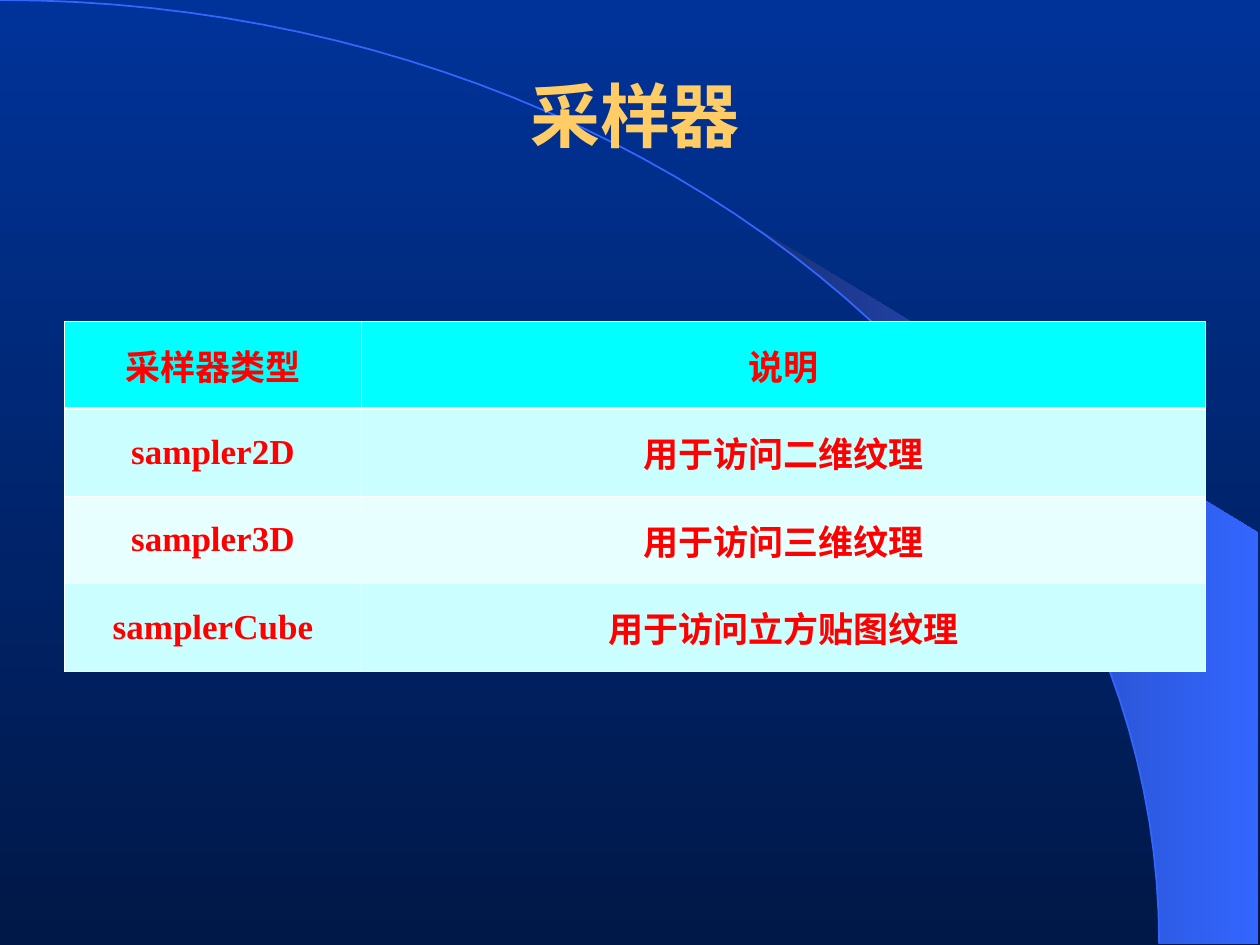
from math import asin, cos, pi, sin

from lxml import etree
from pptx import Presentation
from pptx.dml.color import RGBColor
from pptx.enum.text import MSO_ANCHOR, PP_ALIGN
from pptx.oxml.ns import qn
from pptx.util import Pt

FONT = "Times New Roman"
ARC_WIDTH, ARC_HEIGHT = 662.4, 539.28
ARC_STEPS = 48
UNITS_PER_POINT = 100


def color(hex_string):
    return RGBColor.from_string(hex_string)


def arc_points(start, end):
    angles = [start + (end - start) * step / ARC_STEPS for step in range(ARC_STEPS + 1)]
    return [
        (ARC_WIDTH * sin(angle) * UNITS_PER_POINT, ARC_HEIGHT * (1 - cos(angle)) * UNITS_PER_POINT)
        for angle in angles
    ]


presentation = Presentation()
presentation.slide_width, presentation.slide_height = Pt(720), Pt(540)
slide = presentation.slides.add_slide(presentation.slide_layouts[5])

background = slide.background.fill
background.gradient()
background.gradient_angle = 270
for stop, shade in zip(background.gradient_stops, ("003399", "001847")):
    stop.color.rgb = color(shade)

beam_points = arc_points(asin(424.08 / ARC_WIDTH), pi / 2)
beam_points += [(x * UNITS_PER_POINT, y * UNITS_PER_POINT) for x, y in ((719.28, 539.28), (719.28, 304.56))]
builder = slide.shapes.build_freeform(*beam_points[0], scale=Pt(1) / UNITS_PER_POINT)
builder.add_line_segments(beam_points[1:], close=True)
beam = builder.convert_to_shape()
beam.shadow.inherit = False
beam.line.fill.background()
beam.fill.gradient()
beam.fill.gradient_angle = 0
for stop, shade in zip(beam.fill.gradient_stops, ("182F76", "3366FF")):
    stop.color.rgb = color(shade)

curve_points = arc_points(0, pi / 2)
builder = slide.shapes.build_freeform(*curve_points[0], scale=Pt(1) / UNITS_PER_POINT)
builder.add_line_segments(curve_points[1:], close=False)
curve = builder.convert_to_shape()
curve.shadow.inherit = False
curve.fill.background()
curve.line.color.rgb = color("3366FF")
curve.line.width = Pt(1)

title = slide.shapes.title
slide.shapes._spTree.append(title._element)
title.left, title.top, title.width, title.height = Pt(36.72), Pt(20.16), Pt(652.32), Pt(90)
title.text_frame.text = "采样器"
title.text_frame.vertical_anchor = MSO_ANCHOR.MIDDLE
paragraph = title.text_frame.paragraphs[0]
paragraph.alignment = PP_ALIGN.CENTER
paragraph.font.name = FONT
paragraph.font.size = Pt(40)
paragraph.font.bold = True
paragraph.font.color.rgb = color("FFCC66")

rows = [
    ("采样器类型", "说明"),
    ("sampler2D", "用于访问二维纹理"),
    ("sampler3D", "用于访问三维纹理"),
    ("samplerCube", "用于访问立方贴图纹理"),
]
row_fills = ["00FFFF", "CBFFFF", "E7FFFF", "CBFFFF"]
table = slide.shapes.add_table(len(rows), 2, Pt(36.72), Pt(183.5), Pt(652), Pt(200)).table
table.columns[0].width, table.columns[1].width = Pt(170), Pt(482)

for row_index, (texts, row_fill) in enumerate(zip(rows, row_fills)):
    for column_index, text in enumerate(texts):
        cell = table.cell(row_index, column_index)
        cell.text = text
        cell.vertical_anchor = MSO_ANCHOR.MIDDLE
        paragraph = cell.text_frame.paragraphs[0]
        paragraph.alignment = PP_ALIGN.CENTER
        paragraph.font.name = FONT
        paragraph.font.size = Pt(20)
        paragraph.font.bold = True
        paragraph.font.color.rgb = color("FF0000")

        properties = cell._tc.get_or_add_tcPr()
        for side in ("L", "R", "T", "B"):
            under_header = (row_index, side) in ((0, "B"), (1, "T"))
            width = Pt(1.47 if under_header else 0.45)
            border = etree.SubElement(properties, qn(f"a:ln{side}"), w=str(width))
            border_fill = etree.SubElement(border, qn("a:solidFill"))
            etree.SubElement(border_fill, qn("a:srgbClr"), val="FFFFFF")
        cell.fill.solid()
        cell.fill.fore_color.rgb = color(row_fill)

presentation.save("out.pptx")
